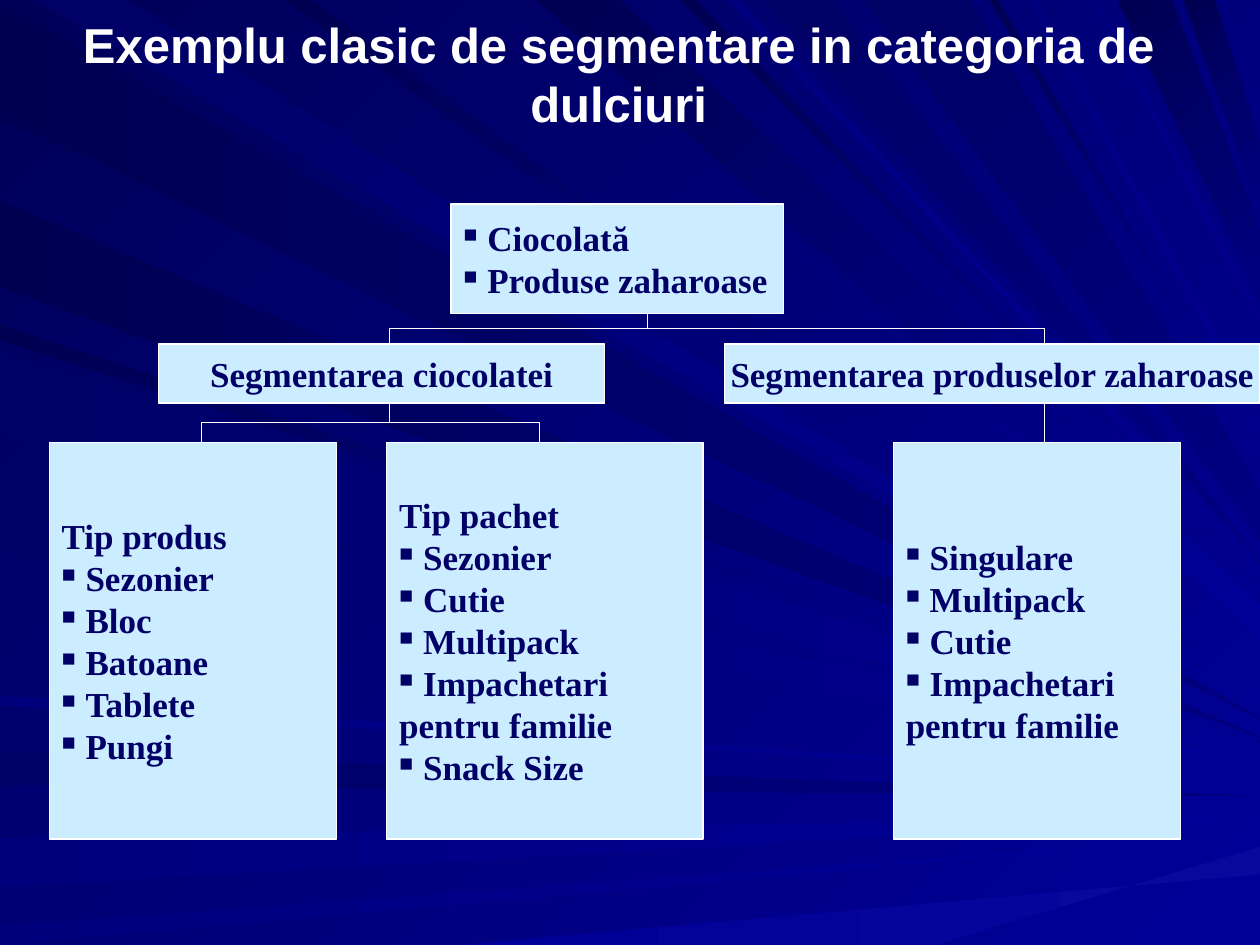
"""Build the slide on classic segmentation of the sweets category."""
from dataclasses import dataclass

import pptx
import pptx.dml.color
import pptx.enum.shapes
import pptx.enum.text
import pptx.oxml
import pptx.oxml.ns
import pptx.util

Inches = pptx.util.Inches
RGBColor = pptx.dml.color.RGBColor
Align = pptx.enum.text.PP_ALIGN
qn = pptx.oxml.ns.qn

WHITE = RGBColor.from_string("FFFFFF")
PALE = RGBColor.from_string("CCECFF")
INK = RGBColor.from_string("000066")
NIGHT = RGBColor.from_string("000058")
DEEP = RGBColor.from_string("000053")
DUSK = RGBColor.from_string("000065")
SOFT = RGBColor.from_string("00007D")
NAVY = RGBColor.from_string("000080")
ROYAL = RGBColor.from_string("000099")
GLOW = RGBColor.from_string("08089C")

WIDTH, HEIGHT = 10, 7.5
INDENT = 0.19
ROOT_TOP, ROOT_HEIGHT = 1.62, 0.87
HEAD_TOP, HEAD_HEIGHT = 2.73, 0.47
LIST_TOP, LIST_HEIGHT = 3.51, 3.15
ROOT_X, CHOCOLATE_X, SUGAR_X = 5.14, 3.09, 8.29


@dataclass
class Beam:
    """Background beam from a stretch of one slide edge to a height on the right edge."""
    edge: str
    near: float
    far: float
    tip: float
    start: RGBColor
    end: RGBColor = ROYAL
    spread: float = 0


@dataclass
class Box:
    """Diagram box; lines starting with an asterisk are bulleted."""
    left: float
    top: float
    width: float
    height: float
    lines: list[str]
    align: Align = Align.LEFT


@dataclass
class Link:
    """Connector from a parent's lower edge to a child's upper edge."""
    x1: float
    y1: float
    x2: float
    y2: float


BEAMS = [
    Beam("left", 0.02, 0.93, 5.7, DEEP, NAVY),
    Beam("top", 0.26, 1.01, 5.63, DUSK),
    Beam("left", 5.96, 6.23, 6.32, DUSK, NAVY),
    Beam("left", 6.65, 7.04, 6.47, SOFT),
    Beam("left", 7.35, 7.5, 6.62, SOFT),
    Beam("bottom", 3.64, 7.42, 6.83, ROYAL, GLOW, 0.11),
    Beam("left", 2.58, 2.7, 5.89, DEEP),
    Beam("left", 1.59, 2.28, 5.85, DEEP, NAVY),
    Beam("top", 3.98, 4.16, 5.18, DUSK),
    Beam("top", 4.26, 4.92, 4.93, DEEP, ROYAL, 0.14),
    Beam("top", 5.4, 5.52, 4.63, DEEP),
    Beam("top", 6.06, 6.61, 4.46, DUSK, NAVY),
    Beam("top", 8.87, 9.3, 2.1, DEEP, NAVY, 0.27),
    Beam("top", 9.39, 9.64, 1.4, DEEP, NAVY, 0.26),
    Beam("left", 2.78, 3.42, 6, DUSK),
    Beam("left", 3.74, 4.37, 6.06, DUSK),
    Beam("left", 5.52, 5.6, 6.22, SOFT),
    Beam("top", 2.25, 2.47, 5.5, DEEP),
    Beam("top", 5.77, 5.88, 4.54, SOFT),
    Beam("top", 6.86, 7.7, 4.09, DUSK, NAVY, 0.19),
    Beam("top", 7.85, 7.92, 3.57, DEEP),
    Beam("top", 8.15, 8.24, 3.36, SOFT),
    Beam("top", 8.65, 8.72, 2.54, SOFT),
    Beam("left", 2.83, 3.47, 6.03, DUSK),
]

BOXES = [
    Box(3.58, ROOT_TOP, 2.64, ROOT_HEIGHT, ["*Ciocolată", "*Produse zaharoase"]),
    Box(1.26, HEAD_TOP, 3.54, HEAD_HEIGHT, ["Segmentarea ciocolatei"], Align.CENTER),
    Box(5.75, HEAD_TOP, 4.25, HEAD_HEIGHT, ["Segmentarea produselor zaharoase"], Align.CENTER),
    Box(0.39, LIST_TOP, 2.28, LIST_HEIGHT,
        ["Tip produs", "*Sezonier", "*Bloc", "*Batoane", "*Tablete", "*Pungi"]),
    Box(3.07, LIST_TOP, 2.51, LIST_HEIGHT,
        ["Tip pachet", "*Sezonier", "*Cutie", "*Multipack", "*Impachetari",
         "pentru familie", "*Snack Size"]),
    Box(7.09, LIST_TOP, 2.28, LIST_HEIGHT,
        ["*Singulare", "*Multipack", "*Cutie", "*Impachetari", "pentru familie"]),
]

ROOT_BOTTOM, HEAD_BOTTOM = ROOT_TOP + ROOT_HEIGHT, HEAD_TOP + HEAD_HEIGHT
LINKS = [Link(ROOT_X, ROOT_BOTTOM, x, HEAD_TOP) for x in (CHOCOLATE_X, SUGAR_X)]
LINKS += [Link(SUGAR_X, HEAD_BOTTOM, SUGAR_X, LIST_TOP)]
LINKS += [Link(CHOCOLATE_X, HEAD_BOTTOM, x, LIST_TOP) for x in (1.6, 4.28)]


def set_gradient(fill, start: RGBColor, end: RGBColor, angle: int) -> None:
    """Apply a two-stop gradient with a clockwise angle."""
    fill.gradient()
    fill.gradient_angle = -angle % 360
    for stop, color in zip(fill.gradient_stops, (start, end)):
        stop.color.rgb = color


def add_beam(slide, beam: Beam) -> None:
    """Draw one background beam."""
    if beam.edge == "left":
        base = [(0, beam.far), (0, beam.near)]
    else:
        y = 0 if beam.edge == "top" else HEIGHT
        base = [(beam.near, y), (beam.far, y)]
    tips = [(WIDTH, beam.tip - beam.spread), (WIDTH, beam.tip + beam.spread)]
    points = [(Inches(x), Inches(y)) for x, y in base + tips]
    builder = slide.shapes.build_freeform(*points[0])
    builder.add_line_segments(points[1:], close=True)
    sp = builder.convert_to_shape()
    sp.shadow.inherit = False
    sp.line.fill.background()
    set_gradient(sp.fill, beam.start, beam.end, 45 if beam.edge == "top" else 0)


def add_bullet(p) -> None:
    """Give a paragraph a small square bullet."""
    pPr = p._p.get_or_add_pPr()
    ns = pptx.oxml.ns.nsdecls("a")
    for xml in (f'<a:buClr {ns}><a:srgbClr val="{INK}"/></a:buClr>',
                f'<a:buSzPct {ns} val="55000"/>',
                f'<a:buChar {ns} char="■"/>'):
        pPr.append(pptx.oxml.parse_xml(xml))


def write_text(sp, lines: list[str], *, size: int, font: str, color: RGBColor,
               align: Align, wrap: bool) -> None:
    """Fill a shape with bold, vertically centred lines."""
    tf = sp.text_frame
    tf.word_wrap = wrap
    tf.vertical_anchor = pptx.enum.text.MSO_ANCHOR.MIDDLE
    for i, line in enumerate(lines):
        p = tf.add_paragraph() if i else tf.paragraphs[0]
        p.alignment = align
        if align == Align.LEFT:
            pPr = p._p.get_or_add_pPr()
            pPr.set("marL", str(Inches(INDENT)))
            pPr.set("indent", str(-Inches(INDENT)))
        if line.startswith("*"):
            add_bullet(p)
        r = p.add_run()
        r.text = line.removeprefix("*")
        r.font.size, r.font.name, r.font.bold = pptx.util.Pt(size), font, True
        r.font.color.rgb = color


def add_box(slide, box: Box) -> None:
    """Draw one diagram box."""
    sp = slide.shapes.add_shape(
        pptx.enum.shapes.MSO_SHAPE.RECTANGLE,
        Inches(box.left), Inches(box.top), Inches(box.width), Inches(box.height))
    sp.shadow.inherit = False
    sp.fill.solid()
    sp.fill.fore_color.rgb = PALE
    sp.line.color.rgb, sp.line.width = WHITE, pptx.util.Pt(0.75)
    write_text(sp, box.lines, size=20, font="Times New Roman", color=INK,
               align=box.align, wrap=False)


def add_link(slide, link: Link) -> None:
    """Draw a straight drop, or an elbow turned to leave its parent downwards."""
    kinds = pptx.enum.shapes.MSO_CONNECTOR
    dx, dy = link.x2 - link.x1, link.y2 - link.y1
    ends, kind = (link.x1, link.y1, link.x2, link.y2), kinds.STRAIGHT
    if dx:
        mid_x, mid_y = (link.x1 + link.x2) / 2, (link.y1 + link.y2) / 2
        run = dy / 2 if dx < 0 else -dy / 2
        rise, kind = abs(dx) / 2, kinds.ELBOW
        ends = (mid_x - run, mid_y - rise, mid_x + run, mid_y + rise)
    cxn = slide.shapes.add_connector(kind, *map(Inches, ends))
    cxn.line.color.rgb, cxn.line.width = WHITE, pptx.util.Pt(0.75)
    spPr = cxn._element.spPr
    if dx:
        spPr.find(qn("a:xfrm")).set("rot", str((90 if dx < 0 else 270) * 60000))
    spPr.append(pptx.oxml.parse_xml(f'<a:effectLst {pptx.oxml.ns.nsdecls("a")}/>'))


def main() -> None:
    """Assemble and save the slide."""
    prs = pptx.Presentation()
    prs.slide_width, prs.slide_height = Inches(WIDTH), Inches(HEIGHT)
    slide = prs.slides.add_slide(prs.slide_layouts[6])
    set_gradient(slide.background.fill, NIGHT, ROYAL, 45)
    for beam in BEAMS:
        add_beam(slide, beam)
    title = slide.shapes.add_textbox(Inches(0.25), Inches(0.17), Inches(9.32), Inches(0.83))
    write_text(title, ["Exemplu clasic de segmentare in categoria de dulciuri"],
               size=28, font="Arial", color=WHITE, align=Align.CENTER, wrap=True)
    for box in BOXES:
        add_box(slide, box)
    for link in LINKS:
        add_link(slide, link)
    prs.save("out.pptx")


if __name__ == "__main__":
    main()
